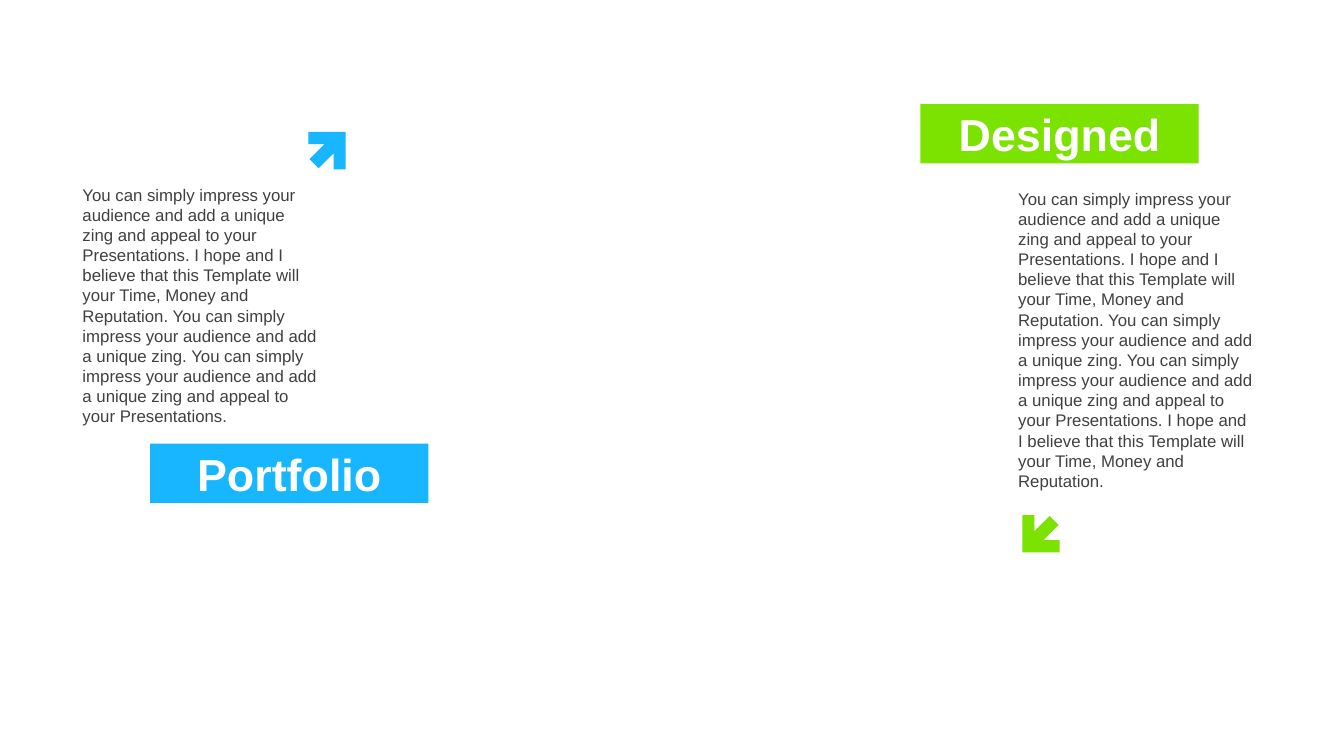
from dataclasses import dataclass

from pptx import Presentation
from pptx.dml.color import RGBColor
from pptx.enum.shapes import MSO_SHAPE
from pptx.enum.text import MSO_ANCHOR, MSO_AUTO_SIZE, PP_ALIGN
from pptx.shapes.autoshape import Shape
from pptx.slide import Slide
from pptx.util import Inches, Pt

RECTANGLE = MSO_SHAPE.RECTANGLE
MIDDLE = MSO_ANCHOR.MIDDLE
CENTER = PP_ALIGN.CENTER
FIT_SHAPE = MSO_AUTO_SIZE.SHAPE_TO_FIT_TEXT


@dataclass(frozen=True)
class Theme:
    font: str = "Arial"
    heading_size: int = 32
    body_size: int = 12
    blue: RGBColor = RGBColor(0x17, 0xB6, 0xFF)
    green: RGBColor = RGBColor(0x7C, 0xE2, 0x00)
    white: RGBColor = RGBColor(0xFF, 0xFF, 0xFF)
    grey: RGBColor = RGBColor(0x40, 0x40, 0x40)


@dataclass(frozen=True)
class Topic:
    heading: str
    story: str
    color: RGBColor
    banner_at: tuple[float, float]
    story_at: tuple[float, float]
    story_height: float
    arrow_at: tuple[float, float]
    arrow_points_down: bool


THEME = Theme()
BANNER_SIZE = (2.76, 0.59)
STORY_WIDTH = 2.53
ARROW_SIDE = 0.37
# Outline of an arrow pointing up and right, from its top left corner
ARROW_OUTLINE = [
    (0, 0), (0.37, 0), (0.37, 0.37), (0.25, 0.37), (0.25, 0.21),
    (0.1, 0.36), (0.01, 0.27), (0.16, 0.12), (0, 0.12),
]

PROMISE = "I hope and I believe that this Template will your Time, Money and Reputation."
IMPRESS = "You can simply impress your audience and add a unique zing"
STORY = f"{IMPRESS} and appeal to your Presentations. {PROMISE} {IMPRESS}. {IMPRESS} and appeal to your Presentations."

TOPICS = [
    Topic("Designed", f"{STORY} {PROMISE}", THEME.green,
          (9.13, 1.03), (10, 1.82), 3.13, (10.14, 5.11), True),
    Topic("Portfolio", STORY, THEME.blue,
          (1.49, 4.4), (0.72, 1.78), 2.52, (3.06, 1.31), False),
]


def paint(shape: Shape, color: RGBColor) -> None:
    """Give a shape a flat fill with no line or shadow."""
    shape.fill.solid()
    shape.fill.fore_color.rgb = color
    shape.line.fill.background()
    shape.shadow.inherit = False


def write(shape: Shape, text: str, size: int, color: RGBColor, bold: bool = False) -> None:
    shape.text_frame.word_wrap = True
    paragraph = shape.text_frame.paragraphs[0]
    paragraph.text = text
    paragraph.font.name = THEME.font
    paragraph.font.size = Pt(size)
    paragraph.font.bold = bold
    paragraph.font.color.rgb = color


def add_banner(slide: Slide, topic: Topic) -> None:
    banner = slide.shapes.add_shape(RECTANGLE, *map(Inches, topic.banner_at + BANNER_SIZE))
    paint(banner, topic.color)
    write(banner, topic.heading, THEME.heading_size, THEME.white, bold=True)
    banner.text_frame.vertical_anchor = MIDDLE
    banner.text_frame.paragraphs[0].alignment = CENTER


def add_arrow(slide: Slide, topic: Topic) -> None:
    """Draw the corner arrow, turned half round when it points down."""
    left, top = topic.arrow_at
    outline = ARROW_OUTLINE
    if topic.arrow_points_down:
        outline = [(ARROW_SIDE - x, ARROW_SIDE - y) for x, y in outline]
    corners = [(Inches(left + x), Inches(top + y)) for x, y in outline]
    builder = slide.shapes.build_freeform(*corners[0])
    builder.add_line_segments(corners[1:], close=True)
    paint(builder.convert_to_shape(), topic.color)


def add_story(slide: Slide, topic: Topic) -> None:
    story = slide.shapes.add_textbox(
        *map(Inches, (*topic.story_at, STORY_WIDTH, topic.story_height)))
    write(story, topic.story, THEME.body_size, THEME.grey)
    story.text_frame.auto_size = FIT_SHAPE


def main() -> None:
    presentation = Presentation()
    presentation.slide_width = Inches(13.33)
    presentation.slide_height = Inches(7.5)
    slide = presentation.slides.add_slide(presentation.slide_layouts[6])
    for add_part in (add_banner, add_arrow, add_story):
        for topic in TOPICS:
            add_part(slide, topic)
    presentation.save("out.pptx")


if __name__ == "__main__":
    main()
